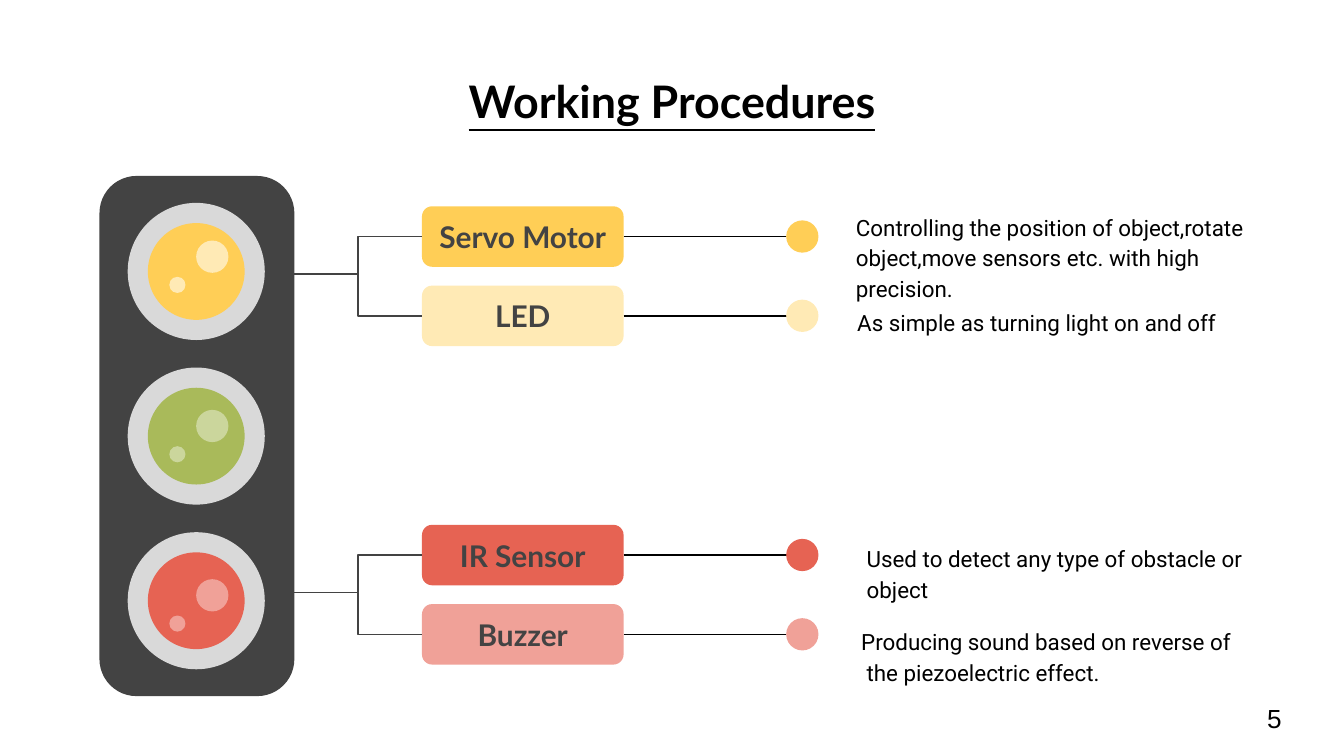
from lxml import etree
from pptx import Presentation
from pptx import util as u
from pptx.dml.color import RGBColor
from pptx.enum import shapes, text
from pptx.oxml.ns import qn

BLACK = RGBColor(0x00, 0x00, 0x00)
CHARCOAL = RGBColor(0x43, 0x43, 0x43)
SILVER = RGBColor(0xD9, 0xD9, 0xD9)
YELLOW = RGBColor(0xFF, 0xCE, 0x56)
PALE_YELLOW = RGBColor(0xFF, 0xEA, 0xB5)
GREEN = RGBColor(0xA9, 0xBA, 0x5A)
PALE_GREEN = RGBColor(0xCB, 0xD6, 0x9C)
RED = RGBColor(0xE6, 0x63, 0x53)
PALE_RED = RGBColor(0xF0, 0xA1, 0x98)

# Columns and rows, in inches
LIGHT_X, LIGHT_TOP, LIGHT_BOTTOM = 1.46, 2.02, 4.47
LIGHT_STEP = (LIGHT_BOTTOM - LIGHT_TOP) / 2
GLINT_Y, GLINT_STEP = 1.91, 1.26
HOUSING_RIGHT, LABEL_X, DOT_X = 2.19, 3.14, 5.97
LABEL_W, LABEL_H = 1.5, 0.45
GROUP_Y, ROW_STEP, STEM_DROP = (1.76, 4.13), 0.59, 0.28

LIGHTS = [(YELLOW, PALE_YELLOW), (GREEN, PALE_GREEN), (RED, PALE_RED)]

# Label, colour, then left, top and width of its description, and the text
GROUPS = [
    [("Servo Motor", YELLOW, (6.27, 1.63, 3.23),
      "Controlling the position of object,rotate object,move sensors etc. "
      "with high precision."),
     ("LED", PALE_YELLOW, (6.28, 2.11, 3.06),
      "As simple as turning light on and off")],
    [("IR Sensor", RED, (6.35, 3.98, 3.06),
      "Used to detect any type of obstacle or object"),
     ("Buzzer", PALE_RED, (6.27, 4.6, 3.06),
      "Producing sound based on reverse of the piezoelectric effect.")],
]


def write(shape, words, size, font="Roboto", color=BLACK, bold=False,
          underline=False, align=text.PP_ALIGN.LEFT,
          anchor=text.MSO_ANCHOR.MIDDLE, spacing=1.0, inset=0.1, wrap=True):
    frame = shape.text_frame
    frame.auto_size = text.MSO_AUTO_SIZE.NONE
    frame.word_wrap = wrap
    frame.vertical_anchor = anchor
    frame.margin_left = frame.margin_right = u.Inches(0.1)
    frame.margin_top = frame.margin_bottom = u.Inches(inset)
    para = frame.paragraphs[0]
    para.alignment, para.line_spacing = align, spacing
    span = para.add_run()
    span.text = words
    span.font.name, span.font.size = font, u.Pt(size)
    span.font.bold, span.font.underline = bold, underline
    span.font.color.rgb = color
    return para


def add_block(page, kind, left, top, width, height, color):
    block = page.shapes.add_shape(kind, *map(u.Inches, (left, top, width, height)))
    block.shadow.inherit = False
    block.fill.solid()
    block.fill.fore_color.rgb = color
    block.line.fill.background()
    return block


def add_circle(page, x, y, size, color):
    add_block(page, shapes.MSO_SHAPE.OVAL, x - size / 2, y - size / 2, size, size, color)


def add_line(page, kind, start, end, color):
    line = page.shapes.add_connector(kind, *map(u.Inches, start + end))
    line.line.color.rgb = color
    line.line.width = u.Pt(0.75)
    etree.SubElement(line._element.spPr, qn("a:effectLst"))
    return line


def add_textbox(page, left, top, width, height, words, size, **style):
    box = page.shapes.add_textbox(*map(u.Inches, (left, top, width, height)))
    return write(box, words, size, **style)


def add_title(page, words):
    title = page.shapes.title
    title.left, title.top, title.width, title.height = map(u.Inches, (0.5, 0.45, 9, 0.44))
    write(title, words, 24, font="Lato", bold=True, underline=True,
          align=text.PP_ALIGN.CENTER, anchor=text.MSO_ANCHOR.TOP)


def add_traffic_light(page):
    housing = add_block(page, shapes.MSO_SHAPE.ROUNDED_RECTANGLE,
                        0.74, 1.31, 1.45, 3.87, CHARCOAL)
    housing.adjustments[0] = 0.19
    for index, (color, pale) in enumerate(LIGHTS):
        y = LIGHT_TOP + index * LIGHT_STEP
        glint_y = GLINT_Y + index * GLINT_STEP
        add_circle(page, LIGHT_X, y, 1.02, SILVER)
        add_circle(page, LIGHT_X, y, 0.72, color)
        add_circle(page, LIGHT_X + 0.12, glint_y, 0.24, pale)
        add_circle(page, LIGHT_X - 0.14, glint_y + 0.21, 0.12, pale)


def add_component(page, stem_y, y, label, color, place, description):
    # Label box with its branch, line and dot
    box = add_block(page, shapes.MSO_SHAPE.FLOWCHART_ALTERNATE_PROCESS,
                    LABEL_X, y - LABEL_H / 2, LABEL_W, LABEL_H, color)
    write(box, label, 16, font="Lato", color=CHARCOAL, bold=True,
          align=text.PP_ALIGN.CENTER)
    add_line(page, shapes.MSO_CONNECTOR.ELBOW,
             (HOUSING_RIGHT, stem_y), (LABEL_X, y), CHARCOAL)
    line = add_line(page, shapes.MSO_CONNECTOR.STRAIGHT,
                    (LABEL_X + LABEL_W, y), (DOT_X, y), BLACK)
    line.begin_connect(box, 3)
    add_circle(page, DOT_X, y, 0.24, color)

    # Description
    left, top, width = place
    return add_textbox(page, left, top, width, 0.55, description, 12, spacing=1.15)


def main():
    deck = Presentation()
    deck.slide_width = u.Inches(10)
    deck.slide_height = deck.slide_width * 9 // 16
    page = deck.slides.add_slide(deck.slide_layouts[5])

    add_title(page, "Working Procedures")
    add_traffic_light(page)
    for group_y, group in zip(GROUP_Y, GROUPS):
        for row, component in enumerate(group):
            para = add_component(page, group_y + STEM_DROP,
                                 group_y + row * ROW_STEP, *component)

    # The last description has a slight hanging indent
    indents = para._p.get_or_add_pPr()
    indents.set("marL", str(u.Inches(0.08)))
    indents.set("indent", str(u.Inches(-0.04)))

    # Page number
    add_textbox(page, 9.33, 5.18, 0.31, 0.34, "5", 14, font="Arial",
                anchor=text.MSO_ANCHOR.TOP, inset=0.05, wrap=False)
    deck.save("out.pptx")


if __name__ == "__main__":
    main()
